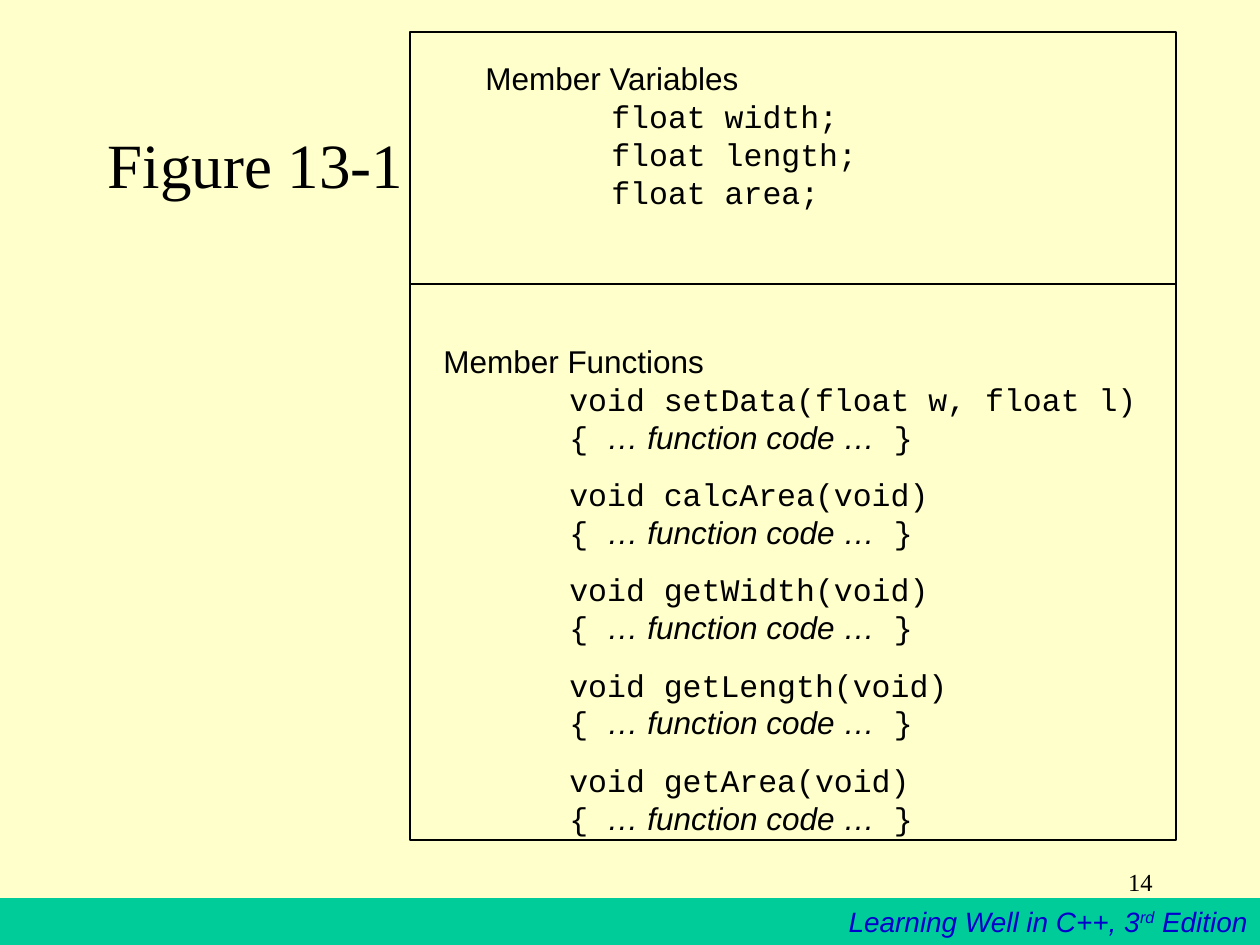
"""Build the class-diagram slide: member variables above member functions."""
from dataclasses import dataclass

from lxml.etree import SubElement
from pptx import Presentation
from pptx.dml.color import RGBColor as RGB
from pptx.enum.shapes import MSO_CONNECTOR as Conn, MSO_SHAPE as Shape
from pptx.enum.text import MSO_ANCHOR as Anchor, MSO_AUTO_SIZE as Auto, PP_ALIGN as Align
from pptx.oxml.ns import qn
from pptx.util import Emu, Pt

PX_PER_INCH = 126


@dataclass(frozen=True)
class Theme:
    """Colours, fonts and type sizes of the slide."""
    paper: RGB = RGB(0xFF, 0xFF, 0xCC)
    band: RGB = RGB(0x00, 0xCC, 0x99)
    credit: RGB = RGB(0x00, 0x00, 0xCC)
    ink: RGB = RGB(0x00, 0x00, 0x00)
    sans: str = "Arial"
    serif: str = "Times New Roman"
    mono: str = "Courier New"
    title_size: int = 36
    text_size: int = 18
    footer_size: int = 16
    number_size: int = 14
    line_width: float = 0.75
    space_before: float = 11.2


T = Theme()


def px(n):
    """Turn pixels into EMU."""
    return Emu(round(n * 914400 / PX_PER_INCH))


def box(*lengths):
    """Turn several pixel lengths into EMU."""
    return [px(n) for n in lengths]


def add_run(p, text, font, size, color=T.ink, italic=False, baseline=None):
    """Add one formatted run to a paragraph."""
    r = p.add_run()
    r.text = text
    f = r.font
    f.name, f.size, f.italic = font, Pt(size), italic
    f.color.rgb = color
    if baseline:
        f._element.set("baseline", str(baseline * 1000))


def add_code(p, text):
    """Add a run of code on a tabbed line."""
    add_run(p, "\t" + text, T.mono, T.text_size)


def add_function(p, signature):
    """Add a function signature and its body line."""
    add_code(p, signature)
    p.add_line_break()
    add_code(p, "{ ")
    add_run(p, "… function code …", T.sans, T.text_size, italic=True)
    add_run(p, " }", T.mono, T.text_size)


def format_member(p):
    """Set the spacing and tab stop of a member paragraph."""
    p.space_before = Pt(T.space_before)
    tabs = SubElement(p._p.get_or_add_pPr(), qn("a:tabLst"))
    SubElement(tabs, qn("a:tab"), pos=str(px(PX_PER_INCH)), algn="l")


def add_text(slide, *at):
    """Add a wrapping text box and return its text frame."""
    tf = slide.shapes.add_textbox(*box(*at)).text_frame
    tf.word_wrap = True
    return tf


def add_rect(slide, *at):
    """Add a plain rectangle without a shadow."""
    sp = slide.shapes.add_shape(Shape.RECTANGLE, *box(*at))
    sp.shadow.inherit = False
    return sp


def add_footer(slide):
    """Add the coloured band with the book title."""
    sp = add_rect(slide, 0, 898, 1260, 47)
    sp.fill.solid()
    sp.fill.fore_color.rgb = T.band
    sp.line.fill.background()
    tf = sp.text_frame
    tf.vertical_anchor = Anchor.TOP
    p = tf.paragraphs[0]
    p.alignment = Align.RIGHT
    for text, baseline in (("Learning Well in C++, 3", None), ("rd", 30), (" Edition", None)):
        add_run(p, text, T.sans, T.footer_size, T.credit, True, baseline)


def add_number(slide, number):
    """Add the slide number."""
    p = add_text(slide, 903, 861, 262, 63).paragraphs[0]
    p.alignment = Align.RIGHT
    add_run(p, number, T.serif, T.number_size)


def set_title(slide, text):
    """Place and fill the title placeholder."""
    sp = slide.shapes.title
    sp.left, sp.top, sp.width, sp.height = box(95, 84, 1071, 158)
    tf = sp.text_frame
    tf.vertical_anchor = Anchor.MIDDLE
    tf.auto_size = Auto.NONE
    p = tf.paragraphs[0]
    p.alignment = Align.LEFT
    add_run(p, text, T.serif, T.title_size)


def add_frame(slide, left, top, width, height, divider):
    """Add the class outline and the line between its two parts."""
    sp = add_rect(slide, left, top, width, height)
    sp.fill.background()
    line = slide.shapes.add_connector(
        Conn.STRAIGHT, *box(left, divider, left + width, divider))
    SubElement(line._element.spPr, qn("a:effectLst"))
    for s in (sp, line):
        s.line.color.rgb = T.ink
        s.line.width = Pt(T.line_width)


def add_variables(slide, names):
    """List the member variables."""
    p = add_text(slide, 473, 53, 557, 164).paragraphs[0]
    format_member(p)
    add_run(p, "Member Variables", T.sans, T.text_size)
    for name in names:
        p.add_line_break()
        add_code(p, f"float {name};")


def add_functions(slide, signatures):
    """List the member functions, one paragraph each."""
    tf = add_text(slide, 431, 336, 756, 508)
    for i, signature in enumerate(signatures):
        p = tf.add_paragraph() if i else tf.paragraphs[0]
        format_member(p)
        if i == 0:
            add_run(p, "Member Functions", T.sans, T.text_size)
            p.add_line_break()
        add_function(p, f"void {signature}")


def main():
    """Build and save the slide."""
    prs = Presentation()
    prs.slide_width, prs.slide_height = box(1260, 945)
    slide = prs.slides.add_slide(prs.slide_layouts[5])
    slide.background.fill.solid()
    slide.background.fill.fore_color.rgb = T.paper
    add_footer(slide)
    add_number(slide, "14")
    set_title(slide, "Figure 13-1")
    add_frame(slide, 410, 32, 766, 808, divider=284)
    add_variables(slide, ("width", "length", "area"))
    add_functions(slide, ("setData(float w, float l)", "calcArea(void)", "getWidth(void)",
                          "getLength(void)", "getArea(void)"))
    prs.save("out.pptx")


if __name__ == "__main__":
    main()
